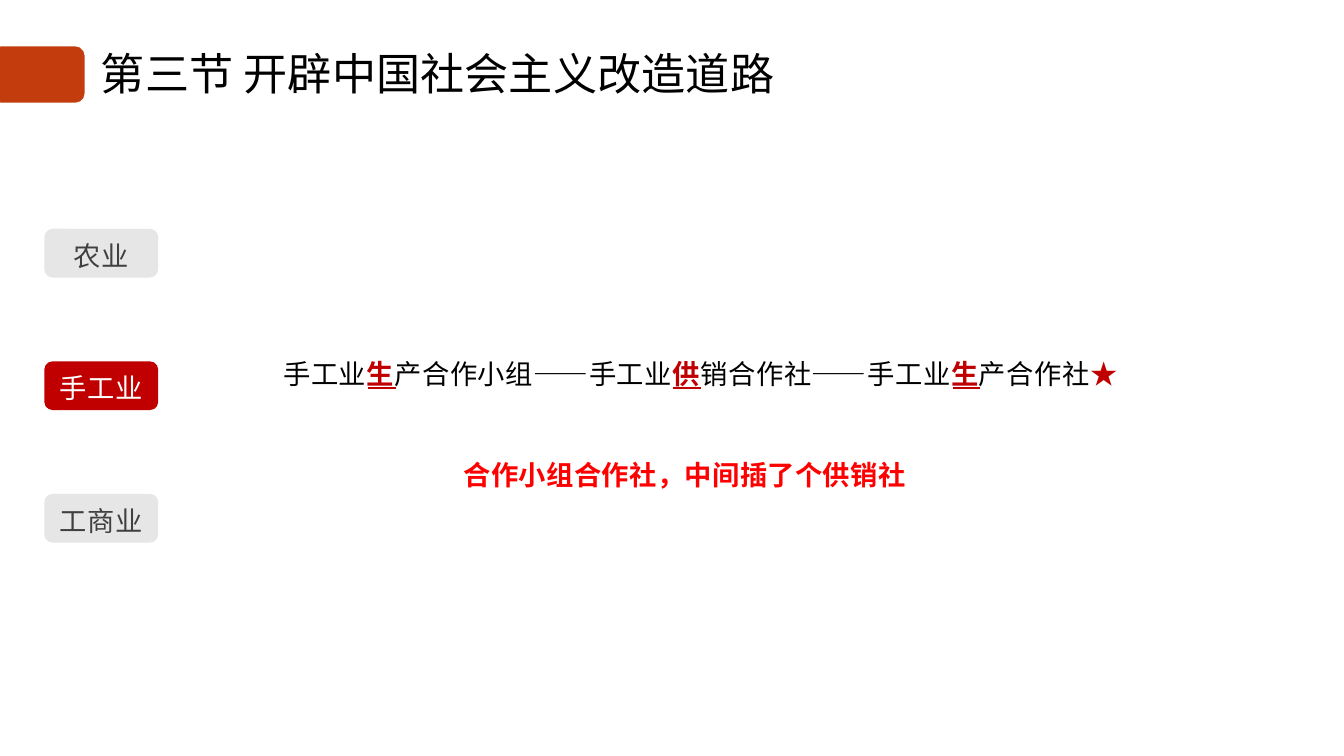
from dataclasses import dataclass
from lxml.etree import SubElement
from pptx import Presentation
from pptx.dml.color import RGBColor
from pptx.enum.shapes import MSO_CONNECTOR, MSO_SHAPE
from pptx.enum.text import MSO_ANCHOR, PP_ALIGN
from pptx.oxml.ns import qn
from pptx.util import Inches, Pt


@dataclass(frozen=True)
class Theme:
    bar: str = "C23C0D"
    black: str = "000000"
    dark: str = "404040"
    white: str = "FFFFFF"
    gray: str = "E7E6E6"
    red: str = "C00000"
    bright: str = "FF0000"
    head: float = 31.5
    body: float = 19.5
    head_font: str = "Noto Sans CJK SC"
    body_font: str = "Noto Sans CJK TC"


THEME = Theme()
WIDE, HIGH = Inches(13.33), Inches(7.5)
COLS, ROWS = 160, 90


def across(cols):
    return round(WIDE * cols / COLS)


def down(rows):
    return round(HIGH * rows / ROWS)


def place(x, y, w, h):
    return across(x), down(y), across(w), down(h)


def style(run, color, size=THEME.body, face=THEME.body_font, bold=False, gap=20):
    font = run.font
    font.size = Pt(size)
    font.bold = bold
    font.color.rgb = RGBColor.from_string(color)
    font.name = face
    props = run._r.get_or_add_rPr()
    props.set("spc", str(gap))
    SubElement(props, qn("a:ea")).set("typeface", face)


def set_frame(frame, anchor):
    frame.word_wrap = True
    frame.vertical_anchor = anchor
    frame.margin_left = frame.margin_right = frame.margin_bottom = 0
    frame.margin_top = Inches(0.04)


def add_text(slide, box, parts, anchor=MSO_ANCHOR.TOP, **look):
    frame = slide.shapes.add_textbox(*place(*box)).text_frame
    set_frame(frame, anchor)
    for text, color, bold in parts:
        run = frame.paragraphs[0].add_run()
        run.text = text
        style(run, color, bold=bold, **look)


def add_block(slide, box, fill, curve):
    block = slide.shapes.add_shape(MSO_SHAPE.ROUNDED_RECTANGLE, *place(*box))
    block.adjustments[0] = curve
    block.shadow.inherit = False
    block.fill.solid()
    block.fill.fore_color.rgb = RGBColor.from_string(fill)
    block.line.fill.background()
    return block


def add_badge(slide, box, text, fill, color):
    frame = add_block(slide, box, fill, 0.17).text_frame
    set_frame(frame, MSO_ANCHOR.MIDDLE)
    frame.text = text
    frame.paragraphs[0].alignment = PP_ALIGN.CENTER
    style(frame.paragraphs[0].runs[0], color)


def add_rule(slide, x, y, w):
    rule = slide.shapes.add_connector(
        MSO_CONNECTOR.STRAIGHT, across(x), down(y), across(x + w), down(y))
    rule.line.color.rgb = RGBColor.from_string(THEME.red)
    rule.line.width = Pt(1.2)
    SubElement(rule._element.spPr, qn("a:effectLst"))


def main():
    deck = Presentation()
    deck.slide_width, deck.slide_height = WIDE, HIGH
    slide = deck.slides.add_slide(deck.slide_layouts[6])

    add_block(slide, (-0.96, 5.52, 11.04, 6.72), THEME.bar, 0.17)
    add_text(slide, (12, 5.04, 93.24, 6.72),
             [("第三节 开辟中国社会主义改造道路", THEME.black, False)],
             MSO_ANCHOR.MIDDLE, size=THEME.head, face=THEME.head_font)

    for x in (43.8, 80.1, 113.4):
        add_rule(slide, x, 46.2, 3.3)
    steps = ["手工业", "生", "产合作小组——手工业", "供",
             "销合作社——手工业", "生", "产合作社"]
    parts = [(text, THEME.red if i % 2 else THEME.black, i % 2 == 1)
             for i, text in enumerate(steps)]
    add_text(slide, (33.72, 42, 99.84, 4.32),
             parts + [("★", THEME.red, False)], gap=30)

    for i, text in enumerate(["农业", "手工业", "工商业"]):
        live = text == "手工业"
        add_badge(slide, (5.28, 27.24 + 15.78 * i, 13.56, 5.8), text,
                  THEME.red if live else THEME.gray,
                  THEME.white if live else THEME.dark)

    add_text(slide, (55.2, 54.12, 99.84, 4.32),
             [("合作小组合作社，中间插了个供销社", THEME.bright, True)])
    deck.save("out.pptx")


if __name__ == "__main__":
    main()
